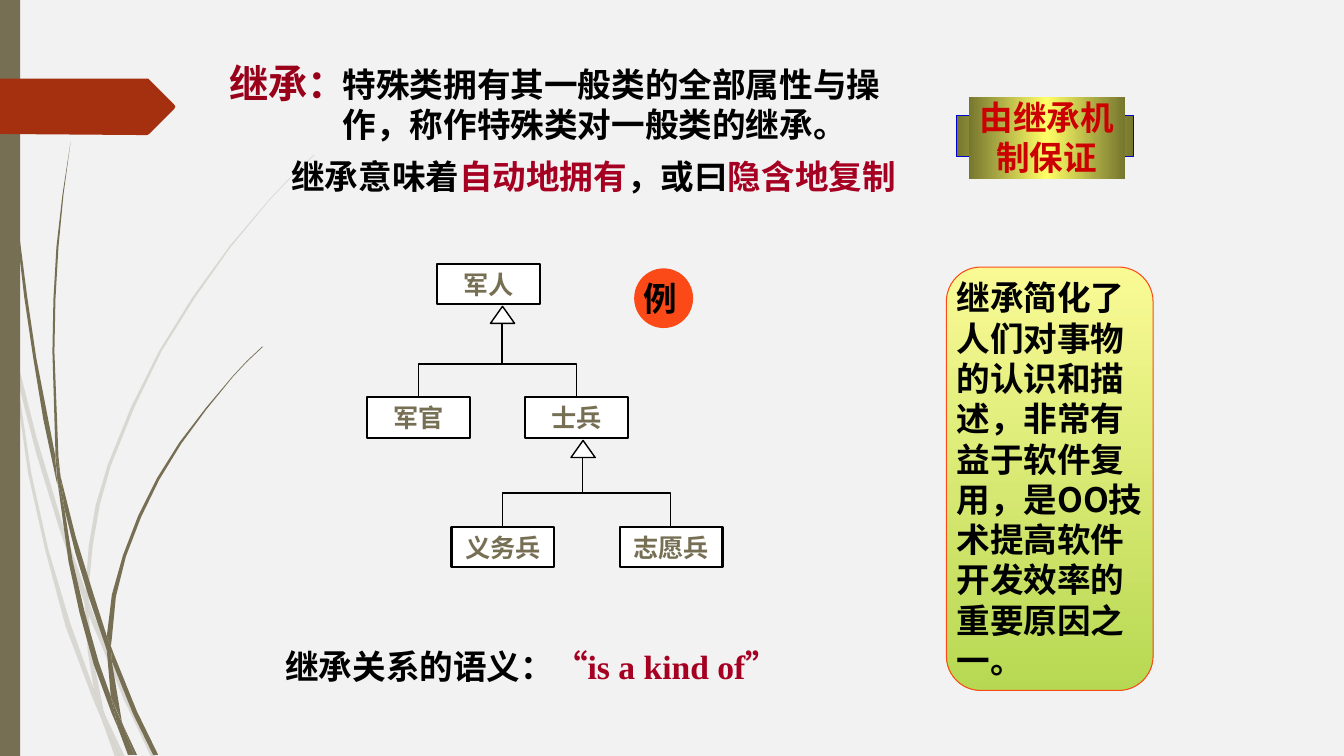
"""Builds the slide on inheritance between classes."""
import pptx
import pptx.dml.color
import pptx.enum.shapes
import pptx.enum.text
import pptx.oxml.ns
import pptx.util
from lxml import etree

Cm = pptx.util.Cm
Kind = pptx.enum.shapes.MSO_SHAPE
Align = pptx.enum.text.PP_ALIGN
Anchor = pptx.enum.text.MSO_ANCHOR
SANS, SERIF = "Noto Sans CJK SC", "Times New Roman"
OLIVE, RUST, BLACK, WHITE, WINE = "766F54", "FB4A18", "000000", "FFFFFF", "A50021"
GOLD = [(0, "76762F"), (50, "FFFF66"), (100, "76762F")]
LIME = [(0, "FFFF66"), (100, "99CC00")]

PALE = [
    (11, 350, 9, 322, 0, 282, 0, 299, 10, 344),
    (58, 522, 84, 599, 85, 586, 62, 520, 36, 433, 14, 345, 17, 376, 36, 450),
    (92, 607, 88, 596, 88, 610, 123, 694, 150, 751, 155, 751, 127, 692),
    (119, 751, 124, 751, 105, 711),
    (93, 683, 70, 619, 48, 545, 31, 469, 17, 376, 11, 350, 28, 470,
     45, 546, 65, 621, 92, 693, 101, 714, 99, 707),
    (84, 599, 87, 646, 93, 683, 96, 692, 105, 711, 103, 706, 91, 646, 88, 610, 88, 608),
    (88, 584, 92, 542, 99, 501, 110, 462, 133, 405, 160, 349, 193, 296, 229, 245,
     268, 198, 290, 175, 312, 154, 312, 153, 289, 175, 268, 197, 228, 244,
     191, 295, 158, 348, 130, 404, 107, 461, 95, 501, 88, 542, 85, 584, 85, 586, 88, 596),
    (101, 714, 114, 751, 119, 751),
    (88, 608, 88, 596, 85, 586, 84, 599),
    (96, 692, 93, 683, 99, 707, 101, 714, 119, 751, 105, 711),
]
DARK = [
    (7, 110, 11, 171, 17, 233, 24, 294, 33, 355, 43, 416, 56, 477, 57, 481, 55, 457,
     55, 453, 36, 355, 27, 294, 19, 232, 12, 171, 8, 109, 5, 48, 4, 0, 3, 0, 4, 48),
    (88, 592, 106, 645, 106, 631, 93, 590, 75, 532, 60, 472, 64, 505, 75, 549),
    (113, 649, 110, 641, 111, 656, 132, 708, 152, 749, 157, 749, 136, 706),
    (110, 691, 98, 657, 84, 607, 72, 556, 64, 505, 57, 477, 68, 557,
     79, 608, 93, 659, 111, 708, 117, 722, 116, 717),
    (60, 472, 58, 453, 54, 349, 55, 297, 58, 245, 63, 193, 70, 141, 62, 193,
     56, 245, 53, 297, 52, 349, 55, 449),
    (133, 749, 136, 749, 122, 719),
    (57, 477, 64, 505, 60, 472, 55, 449, 55, 453),
    (111, 633, 115, 592, 125, 552, 140, 513, 158, 476, 180, 440, 205, 406,
     231, 374, 245, 359, 261, 344, 260, 344, 245, 358, 231, 373, 204, 405,
     178, 439, 156, 474, 137, 512, 122, 551, 111, 590, 106, 631, 110, 641),
    (117, 722, 127, 749, 131, 749),
    (106, 645, 110, 691, 122, 719, 121, 716, 111, 656, 109, 651),
    (106, 645, 111, 656, 110, 641, 106, 631),
    (116, 706, 110, 691, 116, 717, 117, 722, 130, 749, 133, 749, 122, 719),
]
SIGN = (0, 78, 147, 78, 148, 79, 173, 104, 174, 106, 173, 108, 148, 133, 146, 134, 136, 134, 0, 133)


def rgb(code):
    """Turn a hex string into a colour."""
    return pptx.dml.color.RGBColor.from_string(code)


def pairs(flat):
    """Turn hundredths of an inch into points in centimetres."""
    return [(x * 2.54 / 100, y * 2.54 / 100) for x, y in zip(flat[::2], flat[1::2])]


def node(home, tag, **attrs):
    """Add a drawing element."""
    return etree.SubElement(home, pptx.oxml.ns.qn("a:" + tag), attrs)


class Pen:
    """Holds the style and the slide being drawn."""

    def __init__(self, deck):
        """Add a blank slide."""
        self.slide = deck.slides.add_slide(deck.slide_layouts[6])
        self.shapes = self.slide.shapes
        self.slide.background.fill.solid()
        self.slide.background.fill.fore_color.rgb = rgb("F2F2F2")

    def paint(self, shape, fill=None, line=None, width=1, alpha=None, angle=0):
        """Set fill and line."""
        shape.shadow.inherit = False
        if isinstance(fill, list):
            shape.fill.gradient()
            shape.fill.gradient_angle = angle
            stops = shape._element.spPr.find(".//" + pptx.oxml.ns.qn("a:gsLst"))
            for old in list(stops):
                stops.remove(old)
            for place, code in fill:
                stop = node(stops, "gs", pos=str(place * 1000))
                node(stop, "srgbClr", val=code)
        elif fill:
            shape.fill.solid()
            shape.fill.fore_color.rgb = rgb(fill)
        else:
            shape.fill.background()
        if alpha:
            for tint in shape._element.spPr.iter(pptx.oxml.ns.qn("a:srgbClr")):
                node(tint, "alpha", val=str(alpha * 1000))
        if line:
            shape.line.color.rgb = rgb(line)
            shape.line.width = pptx.util.Pt(width)
        else:
            shape.line.fill.background()

    def fill_in(self, shape, runs, size=24, face=SANS, align=Align.LEFT, anchor=Anchor.TOP, wrap=True):
        """Fill a shape with one paragraph of coloured runs."""
        frame = shape.text_frame
        look = dict(margin_left=0, margin_right=0, margin_top=0, margin_bottom=0,
                    word_wrap=wrap, vertical_anchor=anchor)
        for key, value in look.items():
            setattr(frame, key, value)
        para = frame.paragraphs[0]
        para.alignment = align
        for words, code in runs:
            run = para.add_run()
            run.text = words
            for key, value in dict(name=face, size=pptx.util.Pt(size), bold=True).items():
                setattr(run.font, key, value)
            run.font.color.rgb = rgb(code)
            node(run._r.get_or_add_rPr(), "ea", typeface=SANS)

    def shape(self, kind, at, **look):
        """Add a preset shape."""
        shape = self.shapes.add_shape(kind, *map(Cm, at))
        self.paint(shape, **look)
        return shape

    def text(self, at, runs, **look):
        """Add a text box."""
        self.fill_in(self.shapes.add_textbox(*map(Cm, at)), runs, **look)

    def outline(self, points, close=True, **look):
        """Add a freeform through points."""
        spots = [(Cm(x), Cm(y)) for x, y in points]
        form = self.shapes.build_freeform(*spots[0])
        form.add_line_segments(spots[1:], close=close)
        self.paint(form.convert_to_shape(), **look)

    def label(self, name, x, y):
        """Add a class box."""
        box = self.shape(Kind.RECTANGLE, (x, y, 2.59, 1.02), fill=WHITE, line=BLACK, width=1.5)
        self.fill_in(box, [(name, OLIVE)], size=18, face=SERIF, align=Align.CENTER,
                     anchor=Anchor.MIDDLE, wrap=False)

    def fork(self, tip, top, left, right, bar):
        """Add an inheritance arrow with two branches."""
        foot = bar + 0.83
        self.outline([(left, foot), (left, bar), (right, bar), (right, foot)], close=False, line=BLACK)
        stem = self.shapes.add_connector(pptx.enum.shapes.MSO_CONNECTOR.STRAIGHT,
                                         *map(Cm, (tip, top + 0.1, tip, bar)))
        stem.line.color.rgb = rgb(BLACK)
        stem.line.width = pptx.util.Pt(1)
        node(stem._element.spPr, "effectLst")
        self.shape(Kind.ISOSCELES_TRIANGLE, (tip - 0.29, top, 0.61, 0.43), fill=WHITE, line=BLACK)


def main():
    """Draw the slide and save it."""
    deck = pptx.Presentation()
    deck.slide_width, deck.slide_height = Cm(33.87), Cm(19.05)
    pen = Pen(deck)
    for group, alpha in ((PALE, 20), (DARK, None)):
        for blade in group:
            pen.outline(pairs(blade), fill=OLIVE, alpha=alpha)
    pen.shape(Kind.RECTANGLE, (0, 0, 0.51, 19.05), fill=OLIVE)
    pen.outline(pairs(SIGN), fill="A53010")

    pen.text((5.79, 1.5, 3, 1.19), [("继承：", "99011A")], size=28, wrap=False)
    pen.text((8.64, 1.6, 13.84, 2.06), [("特殊类拥有其一般类的全部属性与操作，称作特殊类对一般类的继承。", BLACK)])
    pen.text((7.34, 3.94, 15.47, 1.02), [("继承意味着", BLACK), ("自动地拥有", WINE),
                                         ("，或曰", BLACK), ("隐含地复制", WINE)], wrap=False)
    note = pen.shape(Kind.ROUNDED_RECTANGLE, (23.85, 6.73, 5.21, 10.67),
                     fill=LIME, line=RUST, width=0.75, alpha=65, angle=270)
    pen.fill_in(note, [("继承简化了人们对事物的认识和描述，非常有益于软件复用，"
                        "是OO技术提高软件开发效率的重要原因之一。", BLACK)])
    pen.shape(Kind.RECTANGLE, (24.1, 2.92, 4.47, 1.02), fill=GOLD, line="0000CC", width=0.75)
    badge = pen.shape(Kind.RECTANGLE, (24.41, 2.44, 3.94, 2.06), fill=GOLD)
    pen.fill_in(badge, [("由继承机制保证", "CC0000")], align=Align.CENTER)
    pen.text((7.19, 16.28, 14.38, 1.02), [("继承关系的语义：", BLACK), ("“is a kind of”", WINE)],
             face=SERIF, anchor=Anchor.MIDDLE)

    for name, x, y in (("军人", 11.02, 6.65), ("军官", 9.25, 10.01), ("士兵", 13.23, 10.01),
                       ("义务兵", 11.38, 13.28), ("志愿兵", 15.62, 13.28)):
        pen.label(name, x, y)
    pen.fork(12.65, 7.72, 10.54, 14.53, 9.17)
    pen.fork(14.68, 11.1, 12.67, 16.9, 12.42)
    mark = pen.shape(Kind.OVAL, (16, 6.78, 1.45, 1.47), fill=RUST, line=RUST)
    pen.fill_in(mark, [("例", BLACK)], face=SERIF)
    deck.save("out.pptx")


if __name__ == "__main__":
    main()
